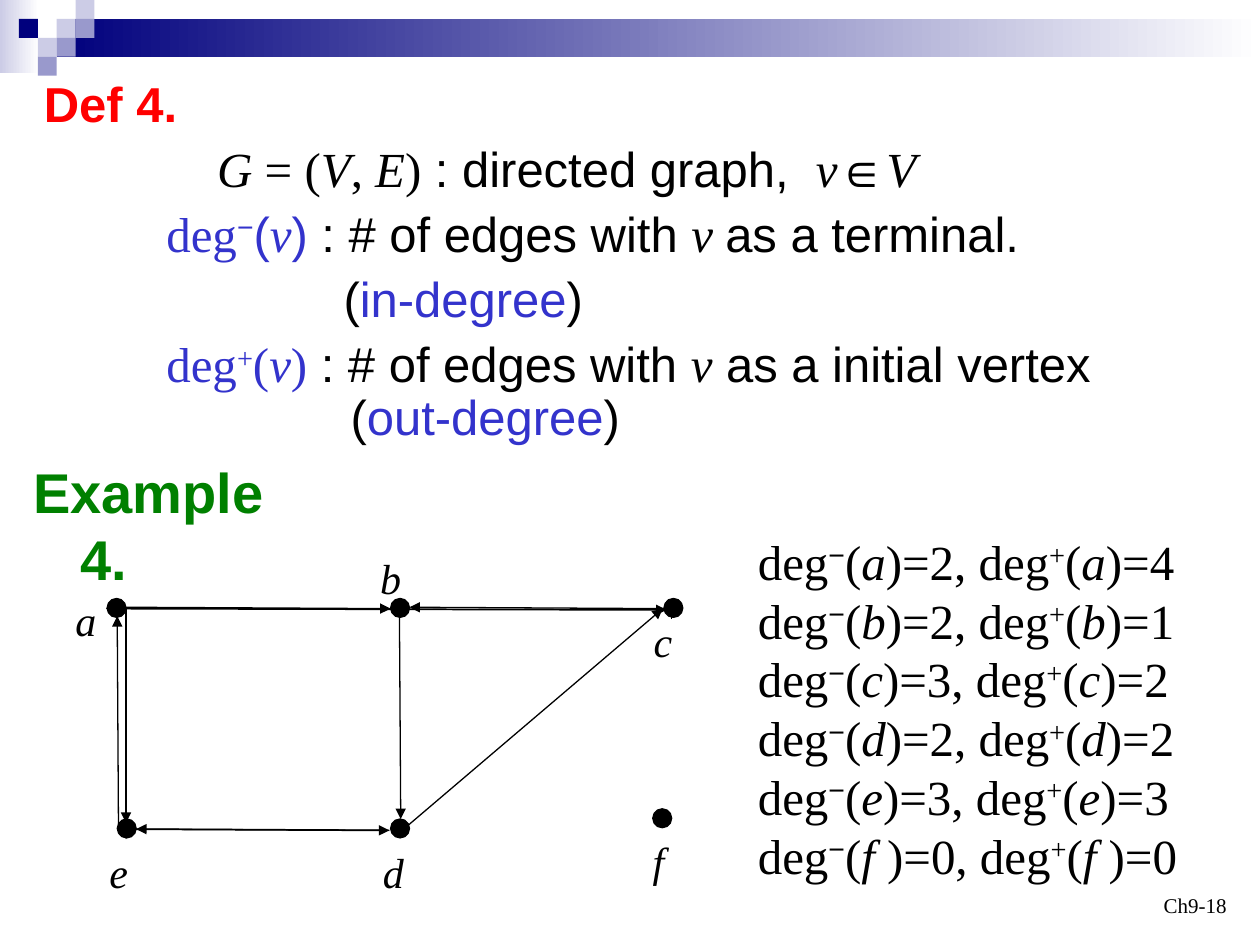
import lxml.etree
import pptx
import pptx.dml.color
import pptx.enum.shapes
import pptx.enum.text
import pptx.oxml.ns
import pptx.util

Pt = pptx.util.Pt
RGBColor = pptx.dml.color.RGBColor
Shape = pptx.enum.shapes.MSO_SHAPE
qn = pptx.oxml.ns.qn

BLACK = RGBColor(0x00, 0x00, 0x00)
WHITE = RGBColor(0xFF, 0xFF, 0xFF)
NAVY = RGBColor(0x00, 0x00, 0x7D)
LAVENDER = RGBColor(0xCC, 0xCC, 0xE6)
PERIWINKLE = RGBColor(0x99, 0x99, 0xCC)
BLUE = RGBColor(0x33, 0x33, 0xCC)
RED = RGBColor(0xFF, 0x00, 0x00)
GREEN = RGBColor(0x00, 0x80, 0x00)
SANS, SERIF = "Arial", "Times New Roman"


def add_run(paragraph, text, size, font=SERIF, color=BLACK, italic=False, bold=False, raised=False):
    run = paragraph.add_run()
    run.text = text
    run.font.size = Pt(size)
    run.font.name = font
    run.font.color.rgb = color
    run.font.italic = italic
    run.font.bold = bold
    if raised:
        run.font._element.set("baseline", "30000")


def add_text_frame(slide, box):
    frame = slide.shapes.add_textbox(*map(Pt, box)).text_frame
    frame.word_wrap = True
    return frame


def next_paragraph(frame, is_first):
    return frame.paragraphs[0] if is_first else frame.add_paragraph()


def set_indent(paragraph, margin, hanging=0):
    properties = paragraph._p.get_or_add_pPr()
    properties.set("marL", str(Pt(margin)))
    properties.set("indent", str(-Pt(hanging)))


def add_plain_shape(slide, kind, box):
    shape = slide.shapes.add_shape(kind, *map(Pt, box))
    shape.shadow.inherit = False
    shape.line.fill.background()
    return shape


def add_fading_bar(slide, box, start_color):
    fill = add_plain_shape(slide, Shape.RECTANGLE, box).fill
    fill.gradient()
    fill.gradient_angle = 0
    for stop, color in zip(fill.gradient_stops, (start_color, WHITE)):
        stop.color.rgb = color


def add_header(slide, box):
    left, top, width, _ = box
    cell = 10.8
    add_fading_bar(slide, (left, top, 22.3, 41.8), LAVENDER)
    add_fading_bar(slide, (left + 3 * cell, top + cell, width - 3 * cell, 2 * cell), NAVY)
    squares = [(3, 1, LAVENDER), (4, 0, LAVENDER), (4, 1, PERIWINKLE), (2, 2, LAVENDER),
               (1, 1, NAVY), (3, 2, PERIWINKLE), (2, 3, PERIWINKLE)]
    for column, row, color in squares:
        square = add_plain_shape(slide, Shape.RECTANGLE,
                                 (left + column * cell, top + row * cell, cell, cell))
        square.fill.solid()
        square.fill.fore_color.rgb = color


def add_definition(slide, box):
    sans, math = {"font": SANS}, {"italic": True}
    blue, blue_sans = {"color": BLUE}, {"font": SANS, "color": BLUE}
    blue_math = {"color": BLUE, "italic": True}
    # Each line: left margin, space before, runs
    lines = [
        (0, 0, [("Def 4.", {"font": SANS, "color": RED, "bold": True})]),
        (99, 7, [("G", math), (" = (", {}), ("V", math), (", ", {}), ("E", math), (")", {}),
                 (" : directed graph,  ", sans), ("v", math), ("∈", sans), ("V", math)]),
        (70, 7, [("deg", blue), ("−", {**blue_sans, "raised": True}), ("(", blue_sans),
                 ("v", blue_math), (")", blue_sans), (" : # of edges with ", sans),
                 ("v ", math), ("as a terminal.", sans)]),
        (171.25, 7, [("(", sans), ("in-degree", blue_sans), (")", sans)]),
        (70, 7, [("deg", blue), ("+", {**blue, "raised": True}), ("(", blue),
                 ("v", blue_math), (")", blue), (" : # of edges with ", sans),
                 ("v", math), (" as a initial vertex", sans)]),
        (175.25, 0, [("(", sans), ("out-degree", blue_sans), (")", sans)]),
    ]
    frame = add_text_frame(slide, box)
    for index, (margin, space_before, runs) in enumerate(lines):
        paragraph = next_paragraph(frame, index == 0)
        set_indent(paragraph, margin)
        paragraph.line_spacing = 0.9
        paragraph.space_before = Pt(space_before)
        for text, style in runs:
            add_run(paragraph, text, 28, **style)


def add_example_heading(slide, box):
    paragraph = add_text_frame(slide, box).paragraphs[0]
    set_indent(paragraph, 27, 27)
    add_run(paragraph, "Example 4.", 32, SANS, GREEN, bold=True)


def add_degree_list(slide, box):
    degrees = [("a", 2, 4), ("b", 2, 1), ("c", 3, 2), ("d", 2, 2), ("e", 3, 3), ("f ", 0, 0)]
    frame = add_text_frame(slide, box)
    for index, (vertex, in_degree, out_degree) in enumerate(degrees):
        paragraph = next_paragraph(frame, index == 0)
        add_run(paragraph, "deg", 28)
        add_run(paragraph, "−", 28, SANS, raised=True)
        add_run(paragraph, "(", 28)
        add_run(paragraph, vertex, 28, italic=True)
        add_run(paragraph, f")={in_degree}, deg", 28)
        add_run(paragraph, "+", 28, raised=True)
        add_run(paragraph, "(", 28)
        add_run(paragraph, vertex, 28, italic=True)
        add_run(paragraph, f")={out_degree}", 28)


def add_arrow(slide, start, end, weight):
    arrow = slide.shapes.add_connector(pptx.enum.shapes.MSO_CONNECTOR.STRAIGHT,
                                       *map(Pt, (*start, *end)))
    arrow.line.color.rgb = BLACK
    arrow.line.width = Pt(weight)
    lxml.etree.SubElement(arrow.line._get_or_add_ln(), qn("a:tailEnd"), type="triangle")
    lxml.etree.SubElement(arrow._element.spPr, qn("a:effectLst"))


def add_directed_graph(slide, box):
    left, top = box[:2]
    dot = 10.8
    # Edges: start, end, line weight, relative to the box
    edges = [
        ((36, 35), (187.2, 35.8), 0.75),        # a to b
        ((192.2, 30), (193, 156), 0.75),        # b to d
        ((192.2, 163.9), (342.7, 35.8), 0.75),  # d to c
        ((186.5, 162.5), (41.8, 161.8), 0.75),  # d to e
        ((36, 161.8), (186.5, 162.5), 1),       # e to d
        ((36, 35.8), (36, 158.2), 0.75),        # a to e
        ((343.4, 35.8), (198, 35), 0.75),       # c to b
        ((36, 35.8), (344.9, 36.5), 1),         # a to c
        ((31.7, 158.9), (31, 40.1), 0.75),      # e to a
        ((347.8, 41.5), (347.8, 30.7), 0.75),   # at c
        ((36, 156), (36, 167.5), 0.75),         # at e
        ((36, 35.8), (24.5, 35.8), 0.75),       # at a
    ]
    # Vertices: name, dot corner, label corner, relative to the box
    vertices = [
        ("a", (25.2, 30), (0, 24)),
        ("b", (187.2, 30), (174.2, 0)),
        ("c", (343.4, 30), (330.5, 36)),
        ("d", (187.2, 156), (175.7, 168)),
        ("e", (31, 156), (19.4, 168)),
        ("f", (337, 150.2), (329.8, 162)),
    ]
    for (x1, y1), (x2, y2), weight in edges:
        add_arrow(slide, (left + x1, top + y1), (left + x2, top + y2), weight)
    for name, (dot_x, dot_y), (label_x, label_y) in vertices:
        vertex = add_plain_shape(slide, Shape.OVAL, (left + dot_x, top + dot_y, dot, dot))
        vertex.fill.solid()
        vertex.fill.fore_color.rgb = BLACK
        vertex.line.color.rgb = BLACK
        vertex.line.width = Pt(0.75)
        label = add_text_frame(slide, (left + label_x, top + label_y, 28, 36))
        add_run(label.paragraphs[0], name, 24, italic=True)


def add_page_number(slide, box):
    frame = add_text_frame(slide, box)
    frame.vertical_anchor = pptx.enum.text.MSO_ANCHOR.BOTTOM
    frame.paragraphs[0].alignment = pptx.enum.text.PP_ALIGN.RIGHT
    add_run(frame.paragraphs[0], "Ch9-18", 12)


def main():
    deck = pptx.Presentation()
    deck.slide_width, deck.slide_height = Pt(720), Pt(540)
    slide = deck.slides.add_slide(deck.slide_layouts[6])
    add_header(slide, (0, 0, 720, 43.2))
    add_page_number(slide, (540, 492, 168, 36))
    add_definition(slide, (18, 42, 666, 222))
    add_example_heading(slide, (12, 258, 180, 54))
    add_degree_list(slide, (426, 300, 282, 209))
    add_directed_graph(slide, (36, 312, 360, 204))
    deck.save("out.pptx")


if __name__ == "__main__":
    main()
